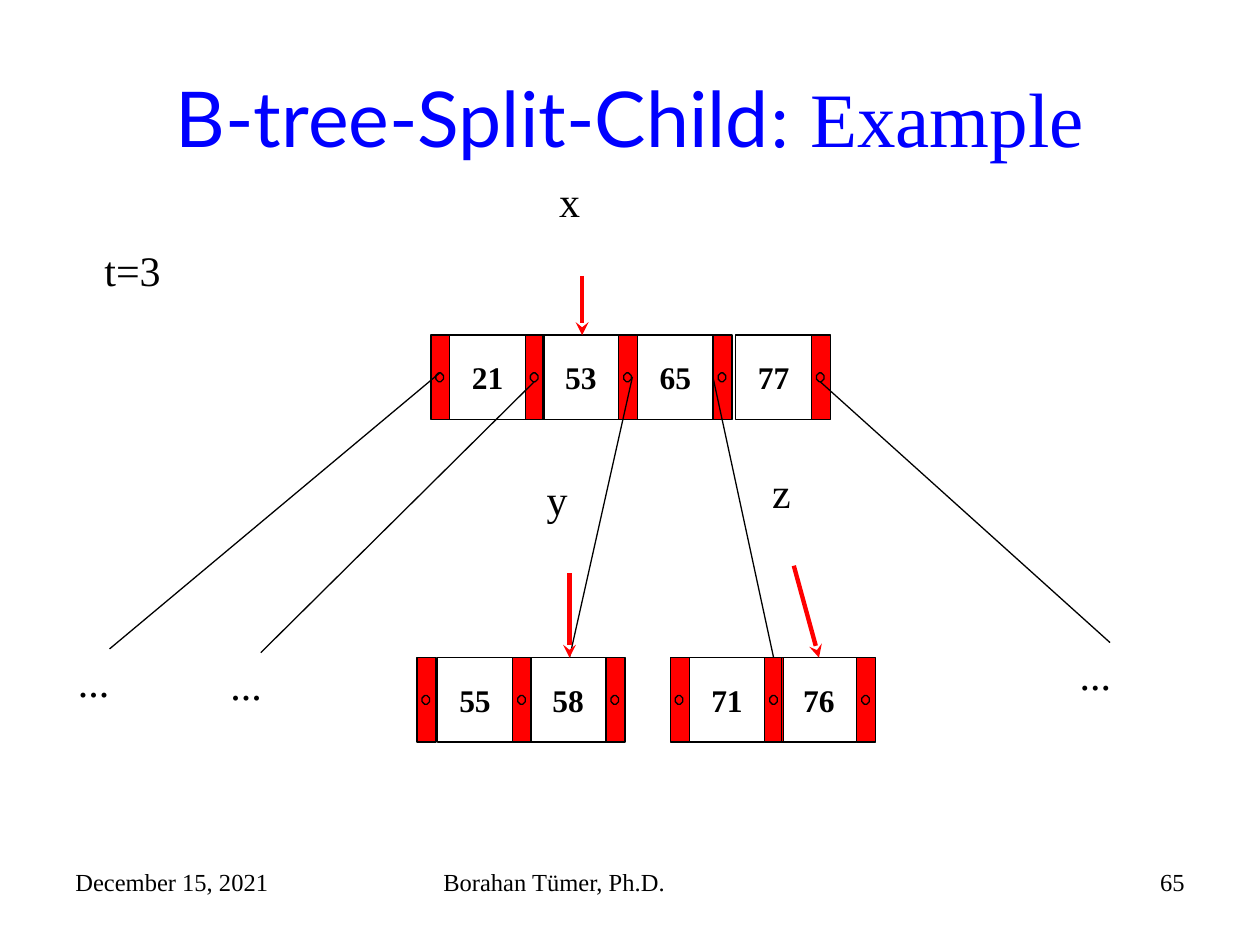
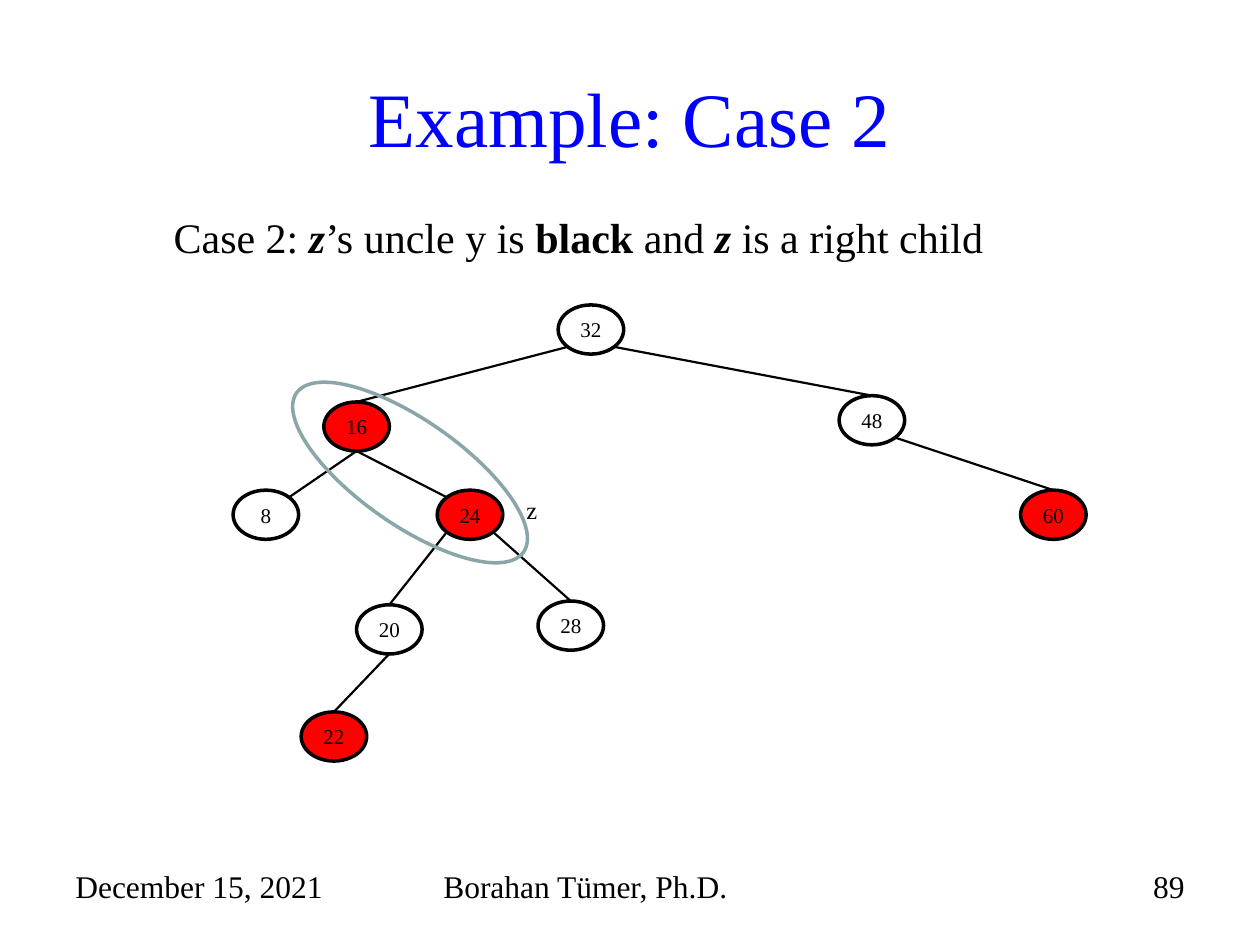
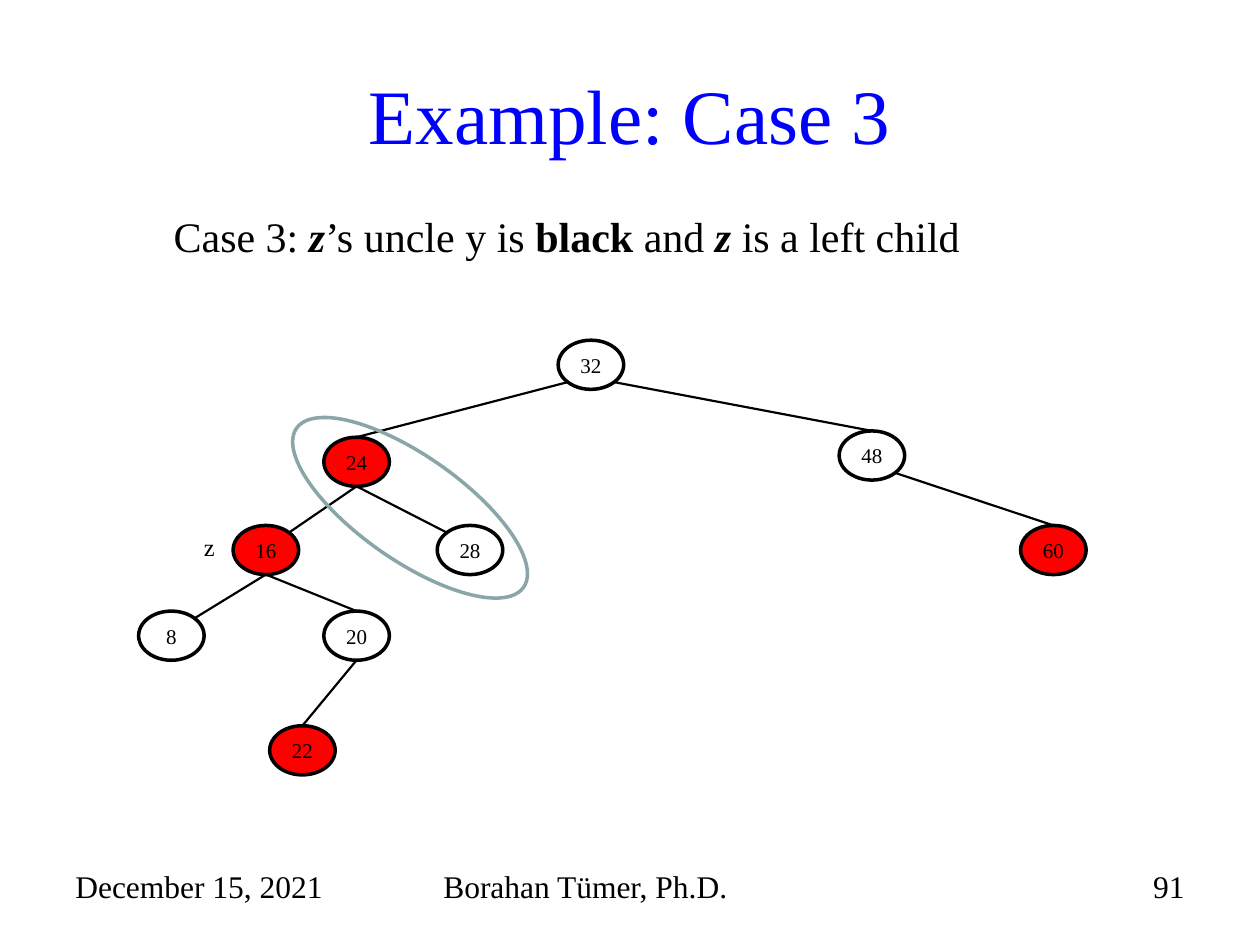
from math import sqrt

from lxml import etree
from pptx import Presentation
from pptx import util as u
from pptx.dml.color import RGBColor
from pptx.enum import shapes, text
from pptx.oxml import ns

BLACK = RGBColor(0, 0, 0)
BLUE = RGBColor(0, 0, 255)
RED = RGBColor(255, 0, 0)
GRAY = RGBColor(0x8A, 0xA6, 0xA8)
SERIF = "Times New Roman"
LEFT, MID, RIGHT = text.PP_ALIGN.LEFT, text.PP_ALIGN.CENTER, text.PP_ALIGN.RIGHT
TITLE = {"size": u.Pt(44)}
BODY = {"size": u.Pt(24)}
TAG = {"size": u.Pt(14)}
KEY = {"size": u.Pt(18), "bold": True}
NODE = {"size": u.Pt(12)}
STRONG = {"bold": True}
VAR = {"bold": True, "italic": True}

SLOT_W, KEY_W, CELL_H = 0.15, 0.6, 0.67
NODE_W, NODE_H = 0.52, 0.39
DIAG = sqrt(0.5)
SITES = {"t": (0, -1), "b": (0, 1), "tl": (-DIAG, -DIAG), "tr": (DIAG, -DIAG),
         "bl": (-DIAG, DIAG), "br": (DIAG, DIAG)}
SPOTS = {"root": (4.43, 0), "left": (2.57, 0.77), "right": (6.66, 0.72),
         "inner": (3.47, 1.47), "outer": (1.85, 1.47), "far": (8.1, 1.47)}
EDGES = [("root", "bl", "left", "t"), ("root", "br", "right", "t"),
         ("left", "b", "outer", "tr"), ("left", "b", "inner", "tl"),
         ("right", "br", "far", "t")]


def box(at):
    return [u.Inches(v) for v in at]


def write(frame, runs, form, color=BLACK, align=LEFT):
    para = frame.paragraphs[0]
    para.alignment = align
    for words, extra in runs:
        run = para.add_run()
        run.text = words
        for name, value in {"name": SERIF, **form, **extra}.items():
            setattr(run.font, name, value)
        run.font.color.rgb = color
    return para


def label(slide, at, runs, form, color=BLACK, align=LEFT, wrap=True, middle=False):
    frame = slide.shapes.add_textbox(*box(at)).text_frame
    frame.word_wrap = wrap
    if middle:
        frame.vertical_anchor = text.MSO_ANCHOR.MIDDLE
    return write(frame, runs, form, color, align)


def shape(slide, kind, at, fill=None, line=BLACK, width=0.75):
    item = slide.shapes.add_shape(kind, *box(at))
    item.shadow.inherit = False
    if fill is None:
        item.fill.background()
    else:
        item.fill.solid()
        item.fill.fore_color.rgb = fill
    item.line.color.rgb = line
    item.line.width = u.Pt(width)
    return item


def center(item, words, form, wrap):
    frame = item.text_frame
    frame.word_wrap = wrap
    frame.vertical_anchor = text.MSO_ANCHOR.MIDDLE
    write(frame, [(words, {})], form, align=MID)


def line(slide, start, end, color=BLACK, width=0.75, arrow=False):
    item = slide.shapes.add_connector(shapes.MSO_CONNECTOR.STRAIGHT, *box(start + end))
    item.line.color.rgb = color
    item.line.width = u.Pt(width)
    if arrow:
        tail = etree.SubElement(item.line._get_or_add_ln(), ns.qn("a:tailEnd"))
        tail.set("type", "stealth")
    etree.SubElement(item._element.spPr, ns.qn("a:effectLst"))


def start(deck, title, number, size, top=0.3):
    slide = deck.slides.add_slide(deck.slide_layouts[6])
    label(slide, (0.5, top, 9, 1.25), title, TITLE, BLUE, MID, middle=True)
    for left, width, words, align in [(0.5, 2.33, "December 15, 2021", LEFT),
                                      (3.42, 3.17, "Borahan Tümer, Ph.D.", LEFT),
                                      (7.17, 2.33, str(number), RIGHT)]:
        label(slide, (left, 6.83, width, 0.52), [(words, {})], {"size": u.Pt(size)}, align=align)
    return slide


def block(slide, top, slots, keys):
    for left in slots:
        shape(slide, shapes.MSO_SHAPE.RECTANGLE, (left, top, SLOT_W, CELL_H), RED)
        dot = shape(slide, shapes.MSO_SHAPE.OCTAGON, (left + 0.04, top + 0.3, 0.06, 0.07), RED)
        dot.adjustments[0] = 0.35
    for right, key in zip(slots[1:], keys):
        cell = shape(slide, shapes.MSO_SHAPE.RECTANGLE, (right - KEY_W, top, KEY_W, CELL_H))
        center(cell, str(key), KEY, False)


def site(spot, name):
    dx, dy = SITES[name]
    return (spot[0] + NODE_W / 2 * (1 + dx), spot[1] + NODE_H / 2 * (1 + dy))


def tree(slide, top, keys, reds, more, links):
    spots = {name: (x, top + y) for name, (x, y) in SPOTS.items()} | more
    for name, key in keys.items():
        node = shape(slide, shapes.MSO_SHAPE.OVAL, (*spots[name], NODE_W, NODE_H),
                     RED if key in reds else None, width=2)
        center(node, str(key), NODE, True)
    for above, out, below, into in EDGES + links:
        line(slide, site(spots[above], out), site(spots[below], into), width=1.25)
    ring = shape(slide, shapes.MSO_SHAPE.OVAL, (2.84, top + 0.23, 0.83, 2.2), line=GRAY, width=2)
    ring.rotation = 305


def case(deck, number, page, side, top, z_at, parts, title_top, rule_top):
    slide = start(deck, [(f"Example: Case {number}", {})], page, 18, title_top)
    tree(slide, top, *parts)
    label(slide, (*z_at, 0.52, 0.34), [("z", {})], TAG)
    para = label(slide, (0.78, rule_top, 8.52, 0.5),
                 [(f"Case {number}: ", {}), ("z", VAR), ("’s uncle y is ", {}),
                  ("black", STRONG), (" and ", {}), ("z", VAR),
                  (f" is a {side} child", {})], BODY)
    para.level = 1
    props = para._p.get_or_add_pPr()
    props.set("marL", str(u.Inches(0.5)))
    props.set("indent", "0")


def split(deck):
    slide = start(deck, [("B-tree-Split-Child", {"name": "Lato"}), (": Example", {})], 65, 14)
    block(slide, 2.66, [3.42, 4.17, 4.91, 5.66, 6.44], [21, 53, 65, 77])
    block(slide, 5.22, [3.31, 4.07, 4.81], [55, 58])
    block(slide, 5.22, [5.32, 6.07, 6.8], [71, 76])
    for begin, end in [((3.49, 2.96), (0.87, 5.15)), ((4.24, 3.03), (2.07, 5.18)),
                       ((5.02, 2.99), (4.52, 5.22)), ((5.66, 3), (6.14, 5.22)),
                       ((6.51, 3.03), (8.81, 5.1))]:
        line(slide, begin, end)
    for begin, end in [((4.62, 2.19), (4.62, 2.66)), ((4.52, 4.55), (4.52, 5.22)),
                       ((6.3, 4.49), (6.5, 5.22))]:
        line(slide, begin, end, RED, 2.5, True)
    for words, left, top, width in [("x", 4.34, 1.34, 0.37), ("y", 4.24, 3.71, 0.37),
                                    ("z", 6.03, 3.65, 0.35), ("t=3", 0.73, 1.89, 0.65),
                                    ("...", 0.52, 5.15, 0.45), ("...", 1.73, 5.18, 0.45),
                                    ("...", 8.47, 5.1, 0.45)]:
        label(slide, (left, top, width, 0.5), [(words, {})], BODY, wrap=False)


def main():
    deck = Presentation()
    deck.slide_width, deck.slide_height = u.Inches(10), u.Inches(7.5)
    split(deck)
    case(deck, 2, 89, "right", 2.42, (4.08, 3.88), (
        {"root": 32, "left": 16, "right": 48, "outer": 8, "inner": 24, "far": 60,
         "low": 20, "side": 28, "leaf": 22},
        {16, 24, 60, 22},
        {"low": (2.83, 4.8), "side": (4.27, 4.77), "leaf": (2.39, 5.65)},
        [("inner", "bl", "low", "t"), ("inner", "br", "side", "t"),
         ("low", "b", "leaf", "t")]), 0.3, 1.63)
    case(deck, 3, 91, "left", 2.7, (1.52, 4.17), (
        {"root": 32, "left": 24, "right": 48, "outer": 16, "inner": 28, "far": 60,
         "low": 20, "side": 8, "leaf": 22},
        {24, 16, 60, 22},
        {"low": (2.57, 4.85), "side": (1.1, 4.85), "leaf": (2.14, 5.76)},
        [("outer", "b", "low", "t"), ("outer", "b", "side", "tr"),
         ("low", "b", "leaf", "t")]), 0.28, 1.62)
    deck.save("out.pptx")


if __name__ == "__main__":
    main()
